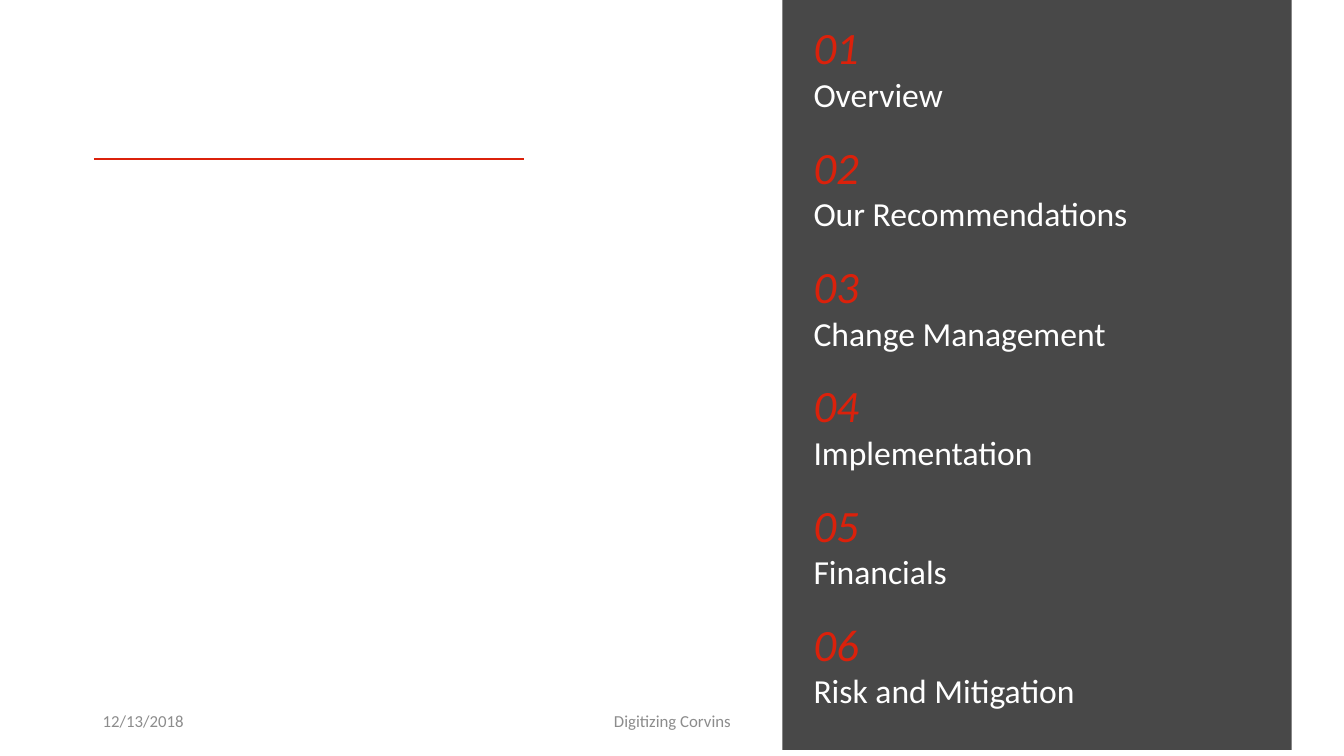
from lxml import etree
from pptx import Presentation
from pptx import util as u
from pptx.dml import color
from pptx.enum import shapes, text
from pptx.oxml import ns

RED, WHITE, GREY, CHARCOAL = "DB210B", "FFFFFF", "8C8C8C", "484848"
TOPICS = [
    "Overview",
    "Our Recommendations",
    "Change Management",
    "Implementation",
    "Financials",
    "Risk and Mitigation",
]


def rgb(value):
    return color.RGBColor.from_string(value)


class AgendaSlide:
    font = "Calibri"

    def __init__(self, deck):
        self.slide = deck.slides.add_slide(deck.slide_layouts[6])

    def panel(self, left, top, width, height, fill):
        panel = self.slide.shapes.add_shape(
            shapes.MSO_SHAPE.RECTANGLE,
            *map(u.Inches, (left, top, width, height)))
        panel.shadow.inherit = False
        panel.fill.solid()
        panel.fill.fore_color.rgb = rgb(fill)
        panel.line.fill.background()

    def rule(self, left, right, y, line_color, weight):
        """Draw a horizontal line."""
        rule = self.slide.shapes.add_connector(
            shapes.MSO_CONNECTOR.STRAIGHT,
            *map(u.Inches, (left, y, right, y)))
        rule.line.color.rgb = rgb(line_color)
        rule.line.width = u.Pt(weight)
        etree.SubElement(rule._element.spPr, ns.qn("a:effectLst"))

    def frame(self, left, top, width, height, anchor=text.MSO_ANCHOR.TOP):
        """Add a wrapping text box and return its text frame."""
        box = self.slide.shapes.add_textbox(
            *map(u.Inches, (left, top, width, height)))
        frame = box.text_frame
        frame.word_wrap = True
        frame.vertical_anchor = anchor
        return frame

    def run(self, paragraph, words, size, font_color, italic=False):
        run = paragraph.add_run()
        run.text = words
        run.font.name = self.font
        run.font.size = u.Pt(size)
        run.font.italic = italic
        run.font.color.rgb = rgb(font_color)

    def footer(self, left, width, words, align):
        frame = self.frame(left, 6.95, width, 0.4, text.MSO_ANCHOR.MIDDLE)
        paragraph = frame.paragraphs[0]
        paragraph.alignment = align
        self.run(paragraph, words, 12, GREY)

    def agenda(self, left, top, width, height, topics):
        """List the topics, each under its red number."""
        frame = self.frame(left, top, width, height)
        for position, topic in enumerate(topics, start=1):
            if position == 1:
                number = frame.paragraphs[0]
            else:
                number = frame.add_paragraph()
                number.space_before = u.Pt(18)
            self.run(number, f"{position:02}", 32, RED, italic=True)
            self.run(frame.add_paragraph(), topic, 24, WHITE)


def main():
    deck = Presentation()
    deck.slide_width = u.Inches(13.33)
    deck.slide_height = u.Inches(7.5)

    slide = AgendaSlide(deck)
    slide.footer(0.92, 3, "12/13/2018", text.PP_ALIGN.LEFT)
    slide.footer(4.42, 4.5, "Digitizing Corvins", text.PP_ALIGN.CENTER)
    slide.panel(7.76, 0, 5.05, 7.44, CHARCOAL)
    slide.rule(0.93, 5.2, 1.58, RED, 1.75)
    slide.agenda(7.97, 0.15, 4.45, 7.03, TOPICS)
    deck.save("out.pptx")


if __name__ == "__main__":
    main()
